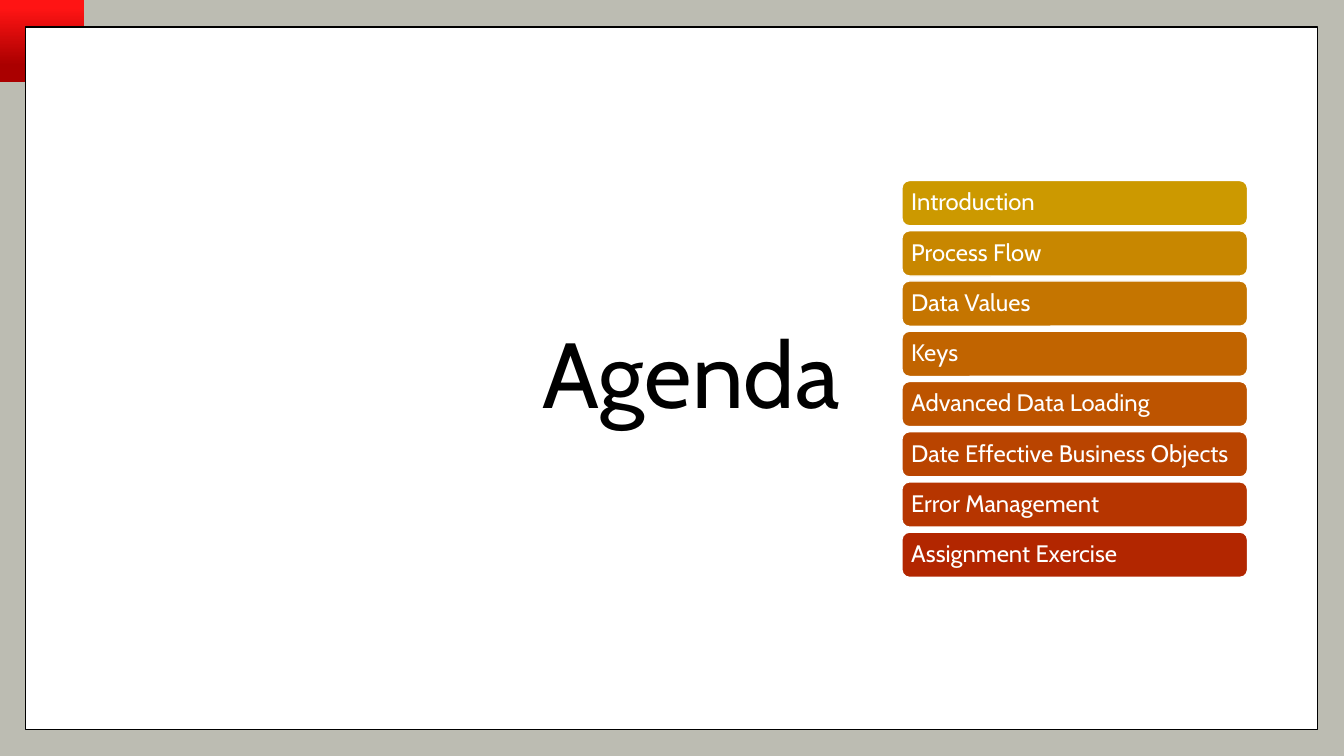
import pptx
import pptx.util
import pptx.dml.color
import pptx.enum.shapes
import pptx.enum.text

Cm = pptx.util.Cm
Pt = pptx.util.Pt
SHAPE = pptx.enum.shapes.MSO_SHAPE
ALIGN = pptx.enum.text.PP_ALIGN
MIDDLE = pptx.enum.text.MSO_ANCHOR.MIDDLE

COLORS = {
    "background": "BCBCB2",
    "corner_bottom": "AA0000",
    "corner_top": "FF1414",
    "white": "FFFFFF",
    "black": "000000",
}
AGENDA = {
    "Introduction": "CC9900",
    "Process Flow": "C88700",
    "Data Values": "C57500",
    "Keys": "C16400",
    "Advanced Data Loading": "BD5400",
    "Date Effective Business Objects": "B94400",
    "Error Management": "B63500",
    "Assignment Exercise": "B22600",
}


def rgb(value):
    return pptx.dml.color.RGBColor.from_string(value)


def apply(target, formats):
    for name, value in formats.items():
        setattr(target, name, value)


class AgendaSlide:
    font = "Cabin"
    line_width = Pt(1)

    def __init__(self, prs):
        self.s = prs.slides.add_slide(prs.slide_layouts[5])
        fill = self.s.background.fill
        fill.solid()
        fill.fore_color.rgb = rgb(COLORS["background"])

    def box(self, shapes, kind, place, fill, line):
        sp = shapes.add_shape(kind, *map(Cm, place))
        sp.shadow.inherit = False
        sp.fill.solid()
        sp.fill.fore_color.rgb = rgb(fill)
        sp.line.color.rgb = rgb(line)
        sp.line.width = self.line_width
        return sp

    def corner(self, place):
        sp = self.s.shapes.add_shape(SHAPE.RECTANGLE, *map(Cm, place))
        sp.shadow.inherit = False
        sp.line.fill.background()
        sp.fill.gradient()
        sp.fill.gradient_angle = 90
        stops = ((0.2, "corner_bottom"), (0.9, "corner_top"))
        for stop, (position, name) in zip(sp.fill.gradient_stops, stops):
            stop.position = position
            stop.color.rgb = rgb(COLORS[name])

    def panel(self, place):
        self.box(self.s.shapes, SHAPE.RECTANGLE, place, COLORS["white"], COLORS["black"])

    def text(self, sp, text, size, color, align, frame):
        tf = sp.text_frame
        apply(tf, {"word_wrap": True, "vertical_anchor": MIDDLE, **frame})
        p = tf.paragraphs[0]
        apply(p, {"alignment": align, "line_spacing": 0.9})
        r = p.add_run()
        r.text = text
        apply(r.font, {"name": self.font, "size": Pt(size)})
        r.font.color.rgb = rgb(color)

    def title(self, text, place):
        sp = self.s.shapes.title
        apply(sp, dict(zip(("left", "top", "width", "height"), map(Cm, place))))
        self.text(sp, text, 66, COLORS["black"], ALIGN.RIGHT,
                  {"auto_size": pptx.enum.text.MSO_AUTO_SIZE.NONE})
        sp.element.getparent().append(sp.element)

    def bars(self, items, left, top, width, height, last_top):
        group = self.s.shapes.add_group_shape()
        pitch = (last_top - top) / (len(items) - 1)
        sides = ("left", "top", "right", "bottom")
        margins = {f"margin_{side}": Cm(0.18) for side in sides}
        for i, (label, color) in enumerate(items.items()):
            place = (left, top + i * pitch, width, height)
            sp = self.box(group.shapes, SHAPE.ROUNDED_RECTANGLE, place, color, COLORS["white"])
            self.text(sp, label, 17, COLORS["white"], ALIGN.LEFT, margins)


def main():
    prs = pptx.Presentation()
    apply(prs, {"slide_width": Cm(33.87), "slide_height": Cm(19.05)})
    agenda = AgendaSlide(prs)
    agenda.corner((0, 0, 2.13, 2.06))
    agenda.panel((0.64, 0.68, 32.56, 17.7))
    agenda.title("Agenda", (2.44, 2.44, 18.97, 14.22))
    agenda.bars(AGENDA, 22.73, 4.55, 8.71, 1.14, 13.41)
    prs.save("out.pptx")


if __name__ == "__main__":
    main()
